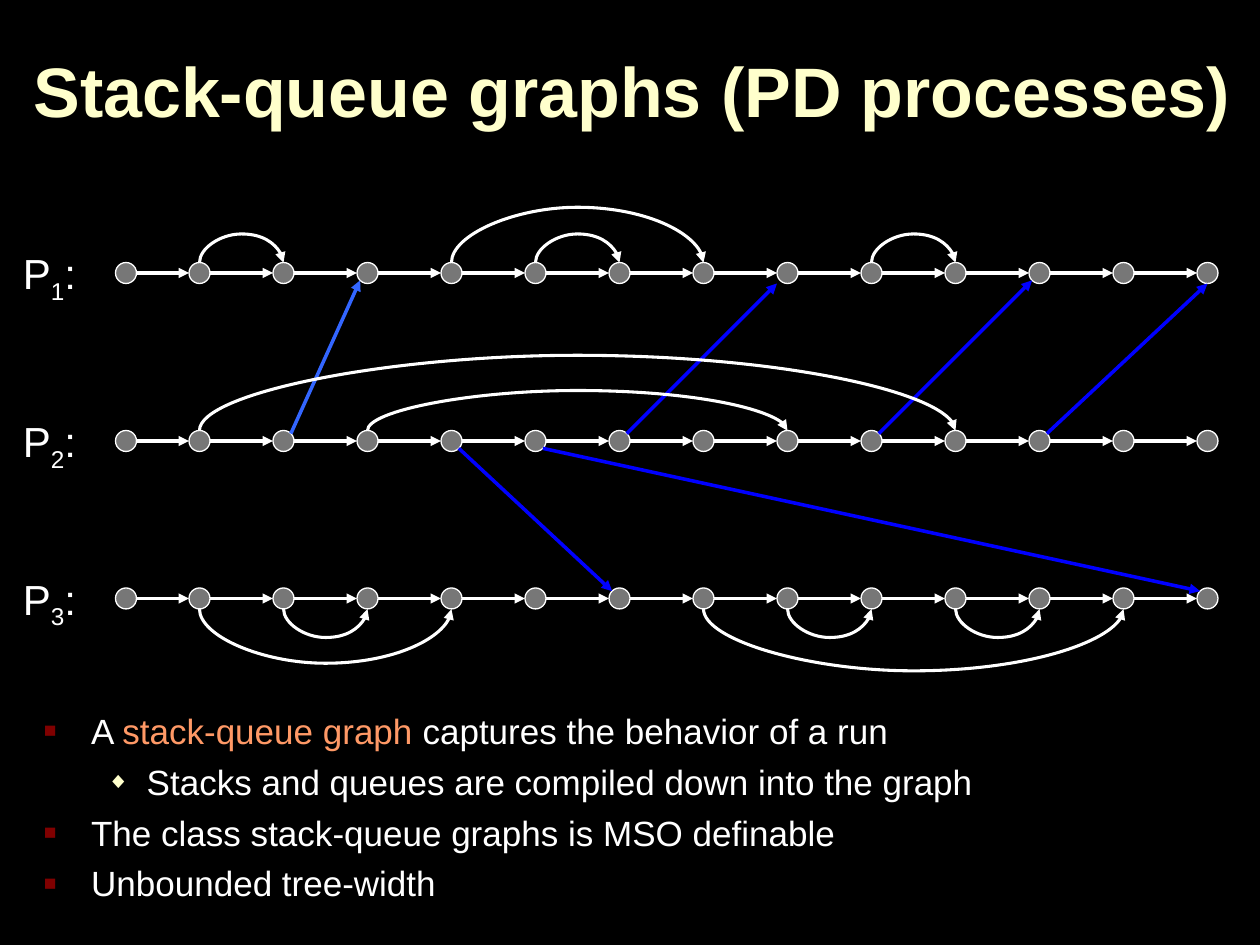
from dataclasses import dataclass

from lxml import etree
from pptx import Presentation
from pptx import util as u
from pptx.dml.color import RGBColor
from pptx.enum import shapes, text
from pptx.oxml.ns import qn

PX = 7620  # EMU in one px, 120 px to the inch
ARC_RISE = 1588  # EMU, height difference between the two ends of an arc


@dataclass(frozen=True)
class Theme:
    background: str = "000000"
    title: str = "FFFFCC"
    body: str = "FFFFFF"
    accent: str = "FF9966"
    square: str = "800000"
    diamond: str = "FFFFCC"
    node: str = "777777"
    edge: str = "FFFFFF"
    message: str = "0000FF"
    first_message: str = "3366FF"
    font: str = "Arial"
    title_pt: int = 40
    label_pt: int = 24
    body_pt: int = 20
    node_line_pt: float = 0.75
    edge_pt: float = 1.75
    message_pt: int = 2


@dataclass(frozen=True)
class Arc:
    """A stack edge between two events; depth is how far it bows out."""
    start: int
    end: int
    depth: int = 30


@dataclass(frozen=True)
class Process:
    number: str
    y: int
    label_top: int
    side: int  # 1: arcs above the line, -1: below
    arcs: tuple[Arc, ...]


@dataclass(frozen=True)
class Message:
    """A queue edge; offset is where it meets the receiving node."""
    sender: int
    start: int
    receiver: int
    end: int
    offset: tuple[int, int]
    color: str


@dataclass(frozen=True)
class Bullet:
    phrases: tuple[tuple[str, str], ...]
    symbol: str
    color: str
    percent: int
    margin: int
    hang: int
    level: int = 0


THEME = Theme()
RADIUS = 10
DIAGONAL = 7
NODE_X = [120] + [190 + 80 * i for i in range(13)]

PROCESSES = (
    Process("1", 260, 230, 1, (Arc(1, 2), Arc(4, 7, 58), Arc(5, 6), Arc(9, 10))),
    Process("2", 420, 390, 1, (Arc(3, 8, 42), Arc(1, 10, 79))),
    Process("3", 570, 540, -1,
            (Arc(2, 3), Arc(1, 4, 57), Arc(7, 12, 65), Arc(8, 9), Arc(10, 11))),
)
MESSAGES = (
    Message(1, 2, 0, 3, (-DIAGONAL, DIAGONAL), THEME.first_message),
    Message(1, 6, 0, 8, (-RADIUS, RADIUS), THEME.message),
    Message(1, 9, 0, 11, (-DIAGONAL, DIAGONAL), THEME.message),
    Message(1, 11, 0, 13, (0, RADIUS), THEME.message),
    Message(1, 4, 2, 6, (-DIAGONAL, -DIAGONAL), THEME.message),
    Message(1, 5, 2, 13, (-DIAGONAL, -DIAGONAL), THEME.message),
)


def square(*phrases: tuple[str, str]) -> Bullet:
    return Bullet(phrases, "■", THEME.square, 60, 45, 45)


BULLETS = (
    square(("A ", THEME.body), ("stack-queue graph", THEME.accent),
           (" captures the behavior of a run", THEME.body)),
    Bullet((("Stacks and queues are compiled down into the graph", THEME.body),),
           "◆", THEME.diamond, 65, 98, 38, 1),
    square(("The class stack-queue graphs is MSO definable", THEME.body)),
    square(("Unbounded tree-width", THEME.body)),
)


def px(value: int) -> u.Emu:
    return u.Emu(value * PX)


def rgb(color: str) -> RGBColor:
    return RGBColor.from_string(color)


def style_run(run, size: int, color: str, bold: bool = False) -> None:
    run.font.name = THEME.font
    run.font.size = u.Pt(size)
    run.font.color.rgb = rgb(color)
    run.font.bold = bold


def add_frame(slide, left: int, top: int, width: int, height: int, wrap: bool = True):
    frame = slide.shapes.add_textbox(px(left), px(top), px(width), px(height)).text_frame
    frame.word_wrap = wrap
    return frame


def style_arrow(arrow, color: str, width: float) -> None:
    arrow.line.color.rgb = rgb(color)
    arrow.line.width = u.Pt(width)
    properties = arrow._element.spPr
    etree.SubElement(properties.find(qn("a:ln")), qn("a:tailEnd"), type="triangle")
    etree.SubElement(properties, qn("a:effectLst"))


def add_arrow(slide, start: tuple[int, int], end: tuple[int, int],
              color: str, width: float) -> None:
    arrow = slide.shapes.add_connector(
        shapes.MSO_CONNECTOR.STRAIGHT, *map(px, start), *map(px, end))
    style_arrow(arrow, color, width)


def add_node(slide, x: int, y: int) -> None:
    node = slide.shapes.add_shape(
        shapes.MSO_SHAPE.FLOWCHART_CONNECTOR,
        px(x - RADIUS), px(y - RADIUS), px(2 * RADIUS), px(2 * RADIUS))
    node.shadow.inherit = False
    node.fill.solid()
    node.fill.fore_color.rgb = rgb(THEME.node)
    node.line.color.rgb = rgb(THEME.edge)
    node.line.width = u.Pt(THEME.node_line_pt)


def add_arc(slide, arc: Arc, y: int, side: int) -> None:
    # Laid out upright around its centre, then turned by a quarter
    x1, x2 = NODE_X[arc.start], NODE_X[arc.end]
    center_x = px(x1 + x2) // 2
    center_y = px(y - side * RADIUS) + ARC_RISE // 2
    half_rise, half_span = side * ARC_RISE // 2, side * px(x2 - x1) // 2
    curve = slide.shapes.add_connector(
        shapes.MSO_CONNECTOR.CURVE,
        center_x - half_rise, center_y + half_span,
        center_x + half_rise, center_y - half_span)
    properties = curve._element.spPr
    turn = 90 if side > 0 else 270
    properties.find(qn("a:xfrm")).set("rot", str(turn * 60000))
    guides = properties.find(qn("a:prstGeom")).find(qn("a:avLst"))
    bow = round(-side * px(arc.depth) / ARC_RISE * 100000)
    etree.SubElement(guides, qn("a:gd"), name="adj1", fmla=f"val {bow}")
    style_arrow(curve, THEME.edge, THEME.edge_pt)


def add_process(slide, process: Process) -> None:
    for x in NODE_X:
        add_node(slide, x, process.y)
    for x1, x2 in zip(NODE_X, NODE_X[1:]):
        add_arrow(slide, (x1 + RADIUS, process.y), (x2 - RADIUS, process.y),
                  THEME.edge, THEME.edge_pt)


def add_message(slide, message: Message) -> None:
    sender_y, receiver_y = PROCESSES[message.sender].y, PROCESSES[message.receiver].y
    heading = 1 if receiver_y > sender_y else -1
    dx, dy = message.offset
    add_arrow(slide,
              (NODE_X[message.start] + DIAGONAL, sender_y + heading * DIAGONAL),
              (NODE_X[message.end] + dx, receiver_y + dy),
              message.color, THEME.message_pt)


def add_label(slide, process: Process) -> None:
    label = add_frame(slide, 10, process.label_top, 77, 60, wrap=False).paragraphs[0]
    for piece in ("P", process.number, ":"):
        run = label.add_run()
        run.text = piece
        style_run(run, THEME.label_pt, THEME.body)
        if piece == process.number:
            run._r.get_or_add_rPr().set("baseline", "-25000")


def add_bullet(paragraph, bullet: Bullet) -> None:
    properties = paragraph._p.get_or_add_pPr()
    properties.set("marL", str(px(bullet.margin)))
    properties.set("indent", str(-px(bullet.hang)))
    color = etree.SubElement(properties, qn("a:buClr"))
    etree.SubElement(color, qn("a:srgbClr"), val=bullet.color)
    etree.SubElement(properties, qn("a:buSzPct"), val=str(bullet.percent * 1000))
    etree.SubElement(properties, qn("a:buFont"), typeface=THEME.font)
    etree.SubElement(properties, qn("a:buChar"), char=bullet.symbol)
    paragraph.level = bullet.level
    for words, words_color in bullet.phrases:
        run = paragraph.add_run()
        run.text = words
        style_run(run, THEME.body_pt, words_color)


def main() -> None:
    deck = Presentation()
    deck.slide_width, deck.slide_height = px(1200), px(900)
    slide = deck.slides.add_slide(deck.slide_layouts[6])
    slide.background.fill.solid()
    slide.background.fill.fore_color.rgb = rgb(THEME.background)

    # Title
    title = add_frame(slide, 20, 20, 1170, 150)
    title.vertical_anchor = text.MSO_ANCHOR.MIDDLE
    title.text = "Stack-queue graphs (PD processes)"
    title.paragraphs[0].line_spacing = 0.7
    style_run(title.paragraphs[0].runs[0], THEME.title_pt, THEME.title, bold=True)

    # Graph: process lines, queue edges, stack edges, labels
    for process in PROCESSES:
        add_process(slide, process)
    for message in MESSAGES:
        add_message(slide, message)
    for process in PROCESSES:
        for arc in process.arcs:
            add_arc(slide, arc, process.y, process.side)
        add_label(slide, process)

    # Bullets
    body = add_frame(slide, 30, 670, 1150, 280)
    for i, bullet in enumerate(BULLETS):
        paragraph = body.add_paragraph() if i else body.paragraphs[0]
        add_bullet(paragraph, bullet)
        if i:
            paragraph.space_before = u.Pt(5)

    deck.save("out.pptx")


if __name__ == "__main__":
    main()
